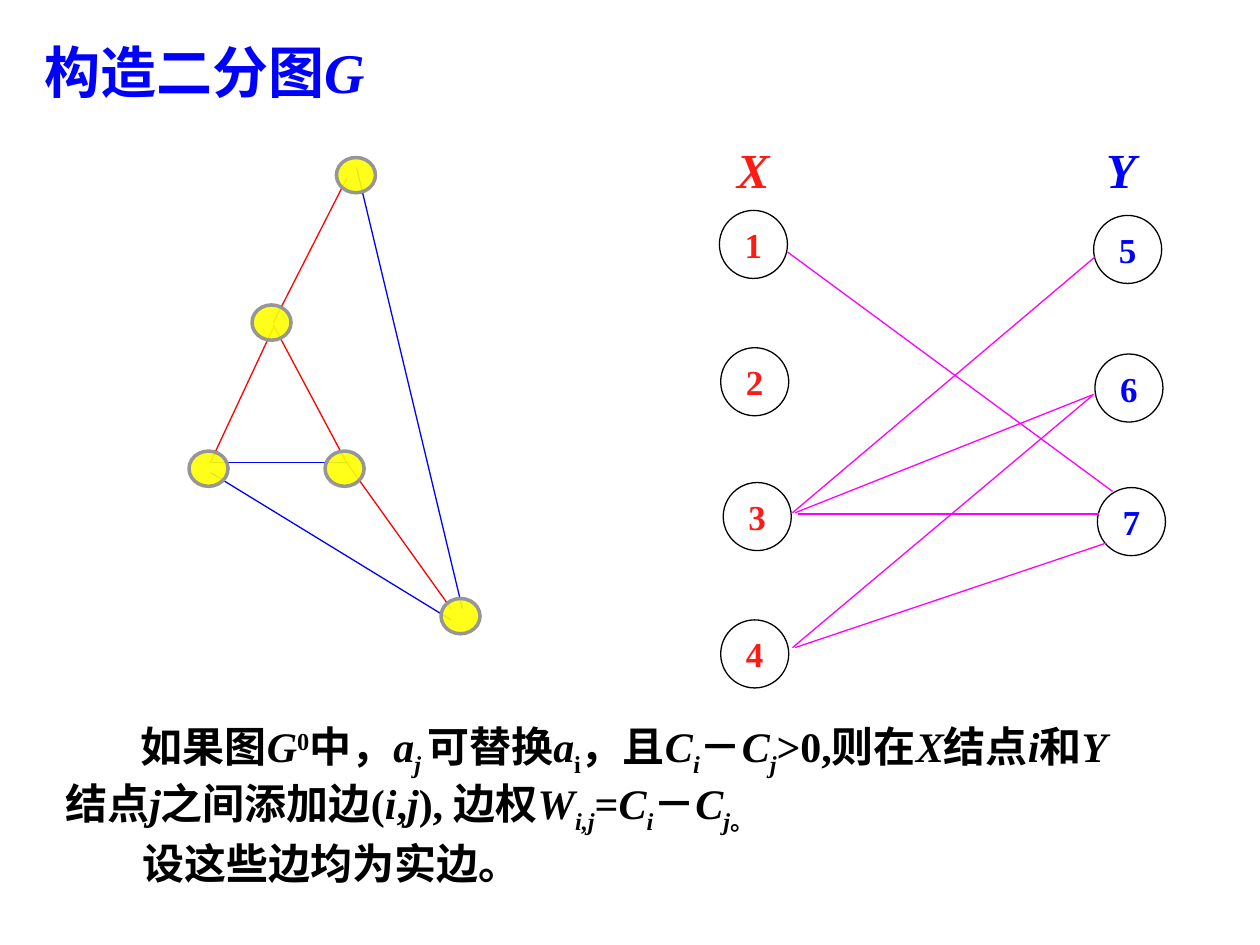
from dataclasses import dataclass

from lxml import etree
from pptx import Presentation
from pptx.dml.color import RGBColor
from pptx.enum.shapes import MSO_CONNECTOR, MSO_SHAPE
from pptx.enum.text import MSO_ANCHOR, PP_ALIGN
from pptx.oxml.ns import qn
from pptx.util import Inches, Pt

STRAIGHT = MSO_CONNECTOR.STRAIGHT
OVAL = MSO_SHAPE.OVAL
TOP, MIDDLE = MSO_ANCHOR.TOP, MSO_ANCHOR.MIDDLE
LEFT, CENTER = PP_ALIGN.LEFT, PP_ALIGN.CENTER


@dataclass(frozen=True)
class Theme:
    font: str = "Times New Roman"
    blue: RGBColor = RGBColor(0x00, 0x00, 0xFF)
    red: RGBColor = RGBColor(0xFD, 0x1B, 0x15)
    edge_red: RGBColor = RGBColor(0xFF, 0x00, 0x00)
    magenta: RGBColor = RGBColor(0xFF, 0x00, 0xFF)
    yellow: RGBColor = RGBColor(0xFF, 0xFF, 0x00)
    gray: RGBColor = RGBColor(0x96, 0x96, 0x96)
    black: RGBColor = RGBColor(0x00, 0x00, 0x00)
    title: int = 32
    label: int = 28
    body: int = 24
    node: int = 20


theme = Theme()


def write(box, spans, *, size, color, align=LEFT, anchor=TOP, indent=0.0):
    frame = box.text_frame
    frame.word_wrap = True
    frame.vertical_anchor = anchor
    para = frame.paragraphs[0]
    para.alignment = align
    para.space_before = Pt(0)
    para.line_spacing = 1.0
    if indent:
        para._p.get_or_add_pPr().set("indent", str(Inches(indent)))
    for text, style in spans:
        span = para.add_run()
        span.text = text
        span.font.name = theme.font
        span.font.size = Pt(size)
        span.font.bold = True
        span.font.italic = "i" in style
        span.font.color.rgb = color
        if "^" in style:
            span.font._element.set("baseline", "30000")
        if "_" in style:
            span.font._element.set("baseline", "-25000")


def draw_edges(page, edges, color):
    for edge in edges:
        line = page.shapes.add_connector(STRAIGHT, *(Inches(value) for value in edge))
        line.line.color.rgb = color
        line.line.width = Pt(0.75)
        etree.SubElement(line._element.spPr, qn("a:effectLst"))


deck = Presentation()
deck.slide_width, deck.slide_height = Inches(10), Inches(7.5)
page = deck.slides.add_slide(deck.slide_layouts[5])

title = page.shapes.title
title.left, title.top = Inches(0.25), Inches(0.25)
title.width, title.height = Inches(3.67), Inches(0.64)
write(title, [("构造二分图", ""), ("G", "i")], size=theme.title, color=theme.blue)

draw_edges(page, [
    (2.83, 1.33, 3.67, 4.83),
    (1.67, 3.75, 3.58, 4.92),
    (1.67, 3.67, 2.75, 3.67),
], theme.blue)
draw_edges(page, [
    (2.75, 3.67, 3.58, 4.83),
    (2.17, 2.6, 1.67, 3.67),
    (2.17, 2.58, 2.75, 3.67),
    (2.75, 1.42, 2.17, 2.56),
], theme.edge_red)

for left, top in [(2.67, 1.25), (2, 2.42), (2.58, 3.58), (3.5, 4.75), (1.5, 3.58)]:
    dot = page.shapes.add_shape(OVAL, Inches(left), Inches(top), Inches(0.31), Inches(0.28))
    dot.shadow.inherit = False
    dot.fill.solid()
    dot.fill.fore_color.rgb = theme.yellow
    dot_color = dot._element.spPr.find(qn("a:solidFill"))[0]
    etree.SubElement(dot_color, qn("a:alpha")).set("val", "90000")
    dot.line.color.rgb = theme.gray
    dot.line.width = Pt(2)

columns = [
    ("X", 5.75, theme.red, [("1", 5.71, 1.67), ("2", 5.72, 2.76), ("3", 5.74, 3.83), ("4", 5.72, 4.92)]),
    ("Y", 8.68, theme.blue, [("5", 8.68, 1.71), ("6", 8.69, 2.81), ("7", 8.71, 3.87)]),
]
for name, label_left, color, nodes in columns:
    label = page.shapes.add_textbox(Inches(label_left), Inches(1.06), Inches(0.75), Inches(0.57))
    write(label, [(name, "i")], size=theme.label, color=color)
    for number, left, top in nodes:
        node = page.shapes.add_shape(OVAL, Inches(left), Inches(top), Inches(0.54), Inches(0.54))
        node.shadow.inherit = False
        node.fill.background()
        node.line.color.rgb = theme.black
        node.line.width = Pt(0.75)
        frame = node.text_frame
        frame.margin_left = frame.margin_right = frame.margin_top = frame.margin_bottom = 0
        write(node, [(number, "")], size=theme.node, color=color, align=CENTER, anchor=MIDDLE)

draw_edges(page, [
    (6.25, 2, 8.83, 3.9),
    (6.29, 4.07, 8.69, 2.04),
    (6.31, 4.07, 8.68, 3.13),
    (6.33, 4.08, 8.72, 4.08),
    (6.29, 5.14, 8.67, 3.14),
    (6.31, 5.14, 8.78, 4.31),
], theme.magenta)

difference = [("C", "i"), ("i", "i_"), ("－", ""), ("C", "i"), ("j", "i_")]
condition = [
    ("如果图", ""), ("G", "i"), ("0", "^"), ("中，", ""), ("a", "i"), ("j ", "i_"),
    ("可替换", ""), ("a", "i"), ("i", "_"), ("，且", ""), *difference,
    (">0,则在", ""), ("X", "i"), ("结点", ""), ("i", "i"), ("和", ""), ("Y", "i"),
    ("结点", ""), ("j", "i"), ("之间添加边(", ""), ("i", "i"), (",", ""), ("j", "i"),
    ("), 边权", ""), ("W", "i"), ("i,j", "i_"), ("=", ""), *difference, ("。", "_"),
]
for spans, left, top, width, height, indent in [
    (condition, 0.42, 5.67, 8.58, 1.01, 0.6),
    ([("设这些边均为实边。", "")], 0.58, 6.6, 7.92, 0.5, 0.45),
]:
    box = page.shapes.add_textbox(Inches(left), Inches(top), Inches(width), Inches(height))
    write(box, spans, size=theme.body, color=theme.black, indent=indent)

deck.save("out.pptx")
